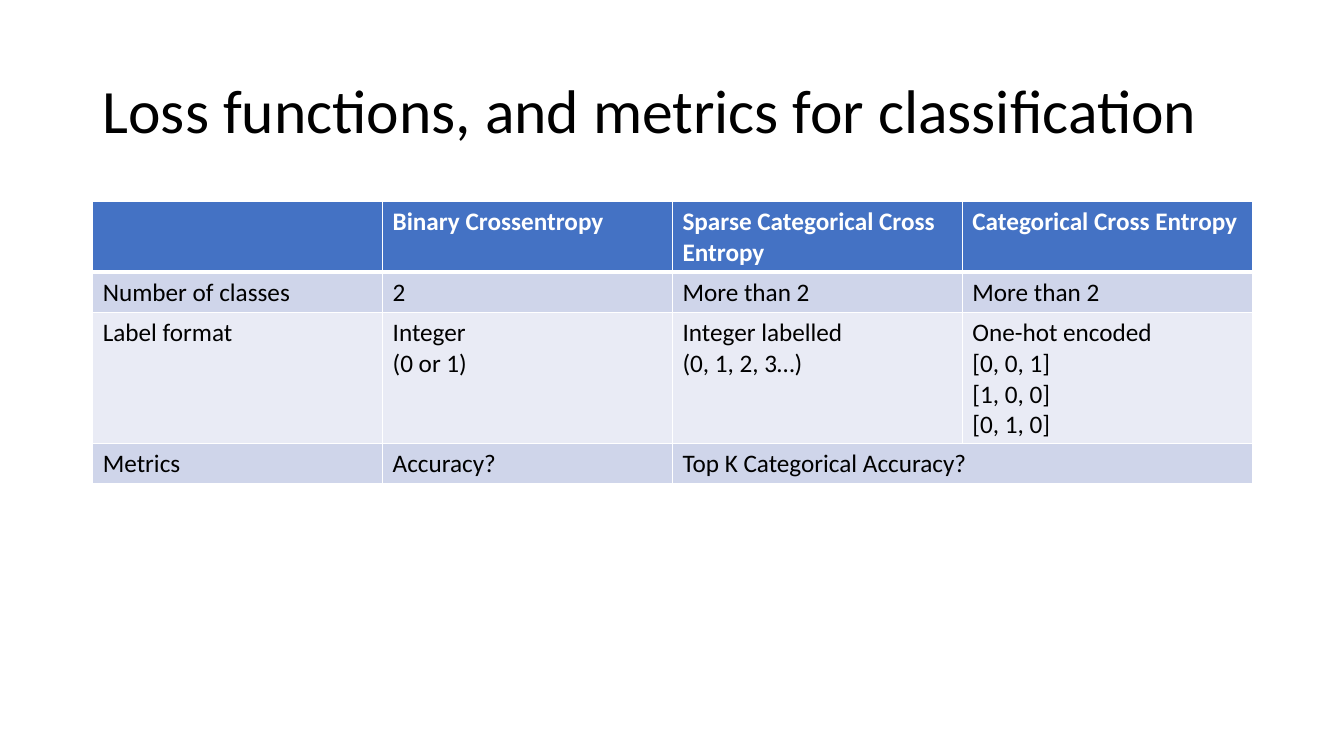
from lxml.etree import SubElement
from pptx import Presentation
from pptx.dml.color import RGBColor
from pptx.enum.text import MSO_ANCHOR
from pptx.oxml.ns import qn
from pptx.util import Inches, Pt

FONT = "Calibri"
COLORS = {
    "text": "000000",
    "header": "4472C4",
    "header_text": "FFFFFF",
    "band_dark": "CFD5EA",
    "band_light": "E9EBF5",
    "rule": "FFFFFF",
}
LEFT, WIDTH = 0.92, 11.5
LINE_HEIGHT, CELL_PADDING = 0.3, 0.1

COMPARISON = [
    ["", "Binary Crossentropy", "Sparse Categorical Cross Entropy", "Categorical Cross Entropy"],
    ["Number of classes", "2", "More than 2", "More than 2"],
    ["Label format", "Integer\n(0 or 1)", "Integer labelled\n(0, 1, 2, 3…)",
     "One-hot encoded\n[0, 0, 1]\n[1, 0, 0]\n[0, 1, 0]"],
    ["Metrics", "Accuracy?", "Top K Categorical Accuracy?", ""],
]
LINES_PER_ROW = [2, 1, 4, 1]


def color(name):
    return RGBColor.from_string(COLORS[name])


def write(frame, text, size, ink, bold=False):
    """Write each line of the text as a paragraph with one run."""
    for index, line in enumerate(text.split("\n")):
        paragraph = frame.paragraphs[0] if index == 0 else frame.add_paragraph()
        paragraph.font.size = Pt(size)
        if line:
            run = paragraph.add_run()
            run.text = line
            run.font.name, run.font.size, run.font.bold = FONT, Pt(size), bold
            run.font.color.rgb = color(ink)


def add_borders(cell, top, bottom):
    """Rule all four sides; call before the fill, which must follow the lines."""
    properties = cell._tc.get_or_add_tcPr()
    for side, points in (("L", 1), ("R", 1), ("T", top), ("B", bottom)):
        line = SubElement(properties, qn(f"a:ln{side}"), w=str(Pt(points)))
        fill = SubElement(line, qn("a:solidFill"))
        SubElement(fill, qn("a:srgbClr"), val=COLORS["rule"])


def add_title(slide, left, top, width, height):
    title = slide.shapes.add_textbox(Inches(left), Inches(top), Inches(width), Inches(height))
    frame = title.text_frame
    frame.word_wrap = True
    frame.vertical_anchor = MSO_ANCHOR.MIDDLE
    write(frame, "Loss functions, and metrics for classification", 44, "text")
    frame.paragraphs[0].line_spacing = 0.9


def add_comparison(slide, left, top, width):
    heights = [CELL_PADDING + LINE_HEIGHT * lines for lines in LINES_PER_ROW]
    table = slide.shapes.add_table(
        len(COMPARISON), len(COMPARISON[0]),
        Inches(left), Inches(top), Inches(width), Inches(sum(heights)),
    ).table
    for row, texts in enumerate(COMPARISON):
        table.rows[row].height = Inches(heights[row])
        is_header = row == 0
        band = "header" if is_header else ("band_light", "band_dark")[row % 2]
        for column, text in enumerate(texts):
            cell = table.cell(row, column)
            add_borders(cell, top=3 if row == 1 else 1, bottom=3 if is_header else 1)
            cell.fill.solid()
            cell.fill.fore_color.rgb = color(band)
            write(cell.text_frame, text, 18, "header_text" if is_header else "text", is_header)
    table.cell(3, 2).merge(table.cell(3, 3))


def main():
    deck = Presentation()
    deck.slide_width, deck.slide_height = Inches(13.33), Inches(7.5)
    slide = deck.slides.add_slide(deck.slide_layouts[6])
    add_title(slide, LEFT, 0.4, WIDTH, 1.45)
    add_comparison(slide, LEFT, 2, WIDTH)
    deck.save("out.pptx")


if __name__ == "__main__":
    main()
